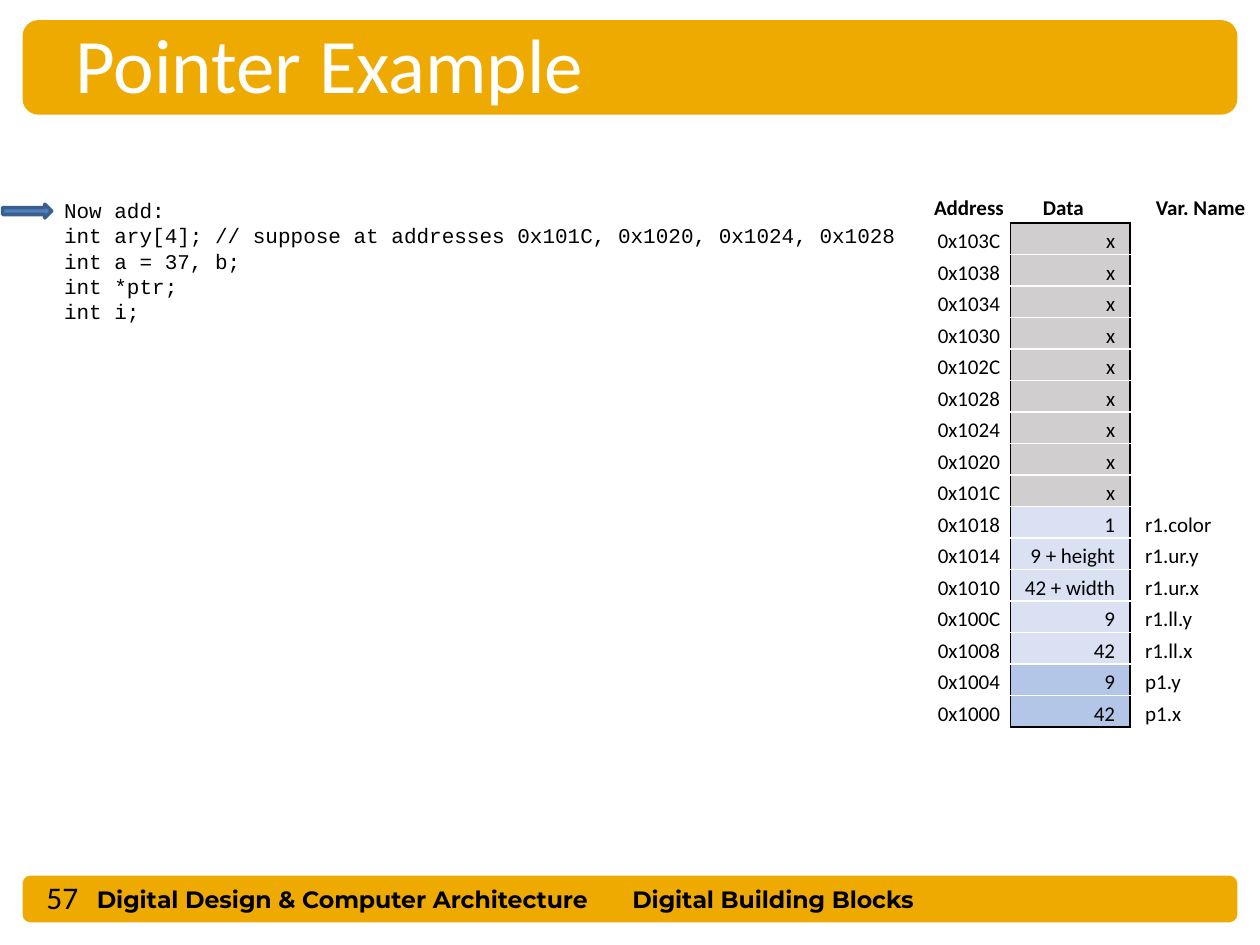
from dataclasses import dataclass

from lxml import etree
from pptx import Presentation
from pptx.dml.color import RGBColor
from pptx.enum.shapes import MSO_SHAPE
from pptx.enum.text import MSO_ANCHOR, PP_ALIGN
from pptx.oxml.ns import qn
from pptx.util import Inches, Pt

ROUNDED, ARROW = MSO_SHAPE.ROUNDED_RECTANGLE, MSO_SHAPE.RIGHT_ARROW
LEFT, CENTER, RIGHT = PP_ALIGN.LEFT, PP_ALIGN.CENTER, PP_ALIGN.RIGHT
TOP, MIDDLE, BOTTOM = MSO_ANCHOR.TOP, MSO_ANCHOR.MIDDLE, MSO_ANCHOR.BOTTOM

COLORS = {
    "bar": "EEAA00", "black": "000000", "white": "FFFFFF",
    "arrow": "4F81BD", "arrow_line": "3A5F8C",
    "unused": "D0CECE", "rectangle": "D9E1F2", "point": "B4C6E7",
}
NO_STYLE = "{2D5ABB26-0587-4C30-8999-92F81FD0307C}"
TOP_ADDRESS, WORD_BYTES = 0x103C, 4
ROW_HEIGHT = 0.25
COLUMN_WIDTHS = [0.66, 0.84, 0.11, 0.11, 0.9]


@dataclass
class Label:
    box: tuple[float, float, float, float]
    lines: list[str]
    size: float
    font: str = "Calibri"
    color: str = "black"
    bold: bool = False
    anchor: MSO_ANCHOR = MIDDLE


@dataclass
class Word:
    data: str
    fill: str
    name: str = ""


LABELS = [
    Label((0.67, 6.97, 4.44, 0.33), ["Digital Design & Computer Architecture"],
          13.5, "Montserrat", bold=True),
    Label((4.92, 6.97, 2.94, 0.33), ["Digital Building Blocks"],
          13.5, "Montserrat", bold=True),
    Label((0.5, 0.08, 8.67, 0.84), ["Pointer Example"], 44, color="white"),
    Label((0.41, 1.52, 6.95, 1.11), [
        "Now add:",
        "int ary[4]; // suppose at addresses 0x101C, 0x1020, 0x1024, 0x1028",
        "int a = 37, b;",
        "int *ptr;",
        "int i;",
    ], 12, "Courier New", anchor=TOP),
    Label((0.27, 6.92, 0.82, 0.39), ["57"], 18),
]

MEMORY = [Word("x", "unused") for _ in range(9)] + [
    Word("1", "rectangle", "r1.color"),
    Word("9 + height", "rectangle", "r1.ur.y"),
    Word("42 + width", "rectangle", "r1.ur.x"),
    Word("9", "rectangle", "r1.ll.y"),
    Word("42", "rectangle", "r1.ll.x"),
    Word("9", "point", "p1.y"),
    Word("42", "point", "p1.x"),
]


def rgb(name: str) -> RGBColor:
    return RGBColor.from_string(COLORS[name])


def add_run(p, text: str, size: float, font: str, color: str, bold: bool) -> None:
    r = p.add_run()
    r.text = text
    r.font.size, r.font.name, r.font.bold = Pt(size), font, bold
    r.font.color.rgb = rgb(color)


def add_shape(s, kind: MSO_SHAPE, box: tuple, fill: str):
    sp = s.shapes.add_shape(kind, *map(Inches, box))
    sp.shadow.inherit = False
    sp.fill.solid()
    sp.fill.fore_color.rgb = rgb(fill)
    sp.line.fill.background()
    return sp


def add_label(s, label: Label) -> None:
    tf = s.shapes.add_textbox(*map(Inches, label.box)).text_frame
    tf.word_wrap = True
    tf.vertical_anchor = label.anchor
    for i, line in enumerate(label.lines):
        p = tf.add_paragraph() if i else tf.paragraphs[0]
        add_run(p, line, label.size, label.font, label.color, label.bold)


def set_borders(cell, **sides: str) -> None:
    """Draw 1 pt borders on the sides L, R, T and B; the others get none."""
    tc_pr = cell._tc.get_or_add_tcPr()
    for side in "LRTB":
        ln = etree.SubElement(tc_pr, qn(f"a:ln{side}"), w=str(Pt(1)))
        if side in sides:
            fill = etree.SubElement(ln, qn("a:solidFill"))
            etree.SubElement(fill, qn("a:srgbClr"), val=COLORS[sides[side]])
        else:
            etree.SubElement(ln, qn("a:noFill"))


def fill_cell(cell, text: str, align: PP_ALIGN, header: bool,
              fill: str, borders: dict[str, str]) -> None:
    cell.margin_left = cell.margin_right = cell.margin_top = Inches(0.01)
    cell.margin_bottom = 0
    cell.vertical_anchor = MIDDLE if header else BOTTOM
    set_borders(cell, **borders)
    if fill:
        cell.fill.solid()
        cell.fill.fore_color.rgb = rgb(fill)
    else:
        cell.fill.background()
    p = cell.text_frame.paragraphs[0]
    p.alignment = align
    if text:
        add_run(p, text, 12, "Calibri", "black", header)
    else:  # an empty cell at the default size would stretch its row
        etree.SubElement(p._p, qn("a:endParaRPr"), sz="1200")


def add_memory_table(s, left: float, top: float) -> None:
    rows = len(MEMORY) + 1
    frame = s.shapes.add_table(rows, len(COLUMN_WIDTHS), Inches(left), Inches(top),
                               Inches(sum(COLUMN_WIDTHS)), Inches(rows * ROW_HEIGHT))
    table = frame.table
    table.first_row = table.horz_banding = False
    table._tbl.tblPr.find(qn("a:tableStyleId")).text = NO_STYLE
    for column, width in zip(table.columns, COLUMN_WIDTHS):
        column.width = Inches(width)
    for row in table.rows:
        row.height = Inches(ROW_HEIGHT)

    under = {"B": "black"}
    header = [("Address", {}), ("Data", under), ("", under), ("", {}), ("Var. Name", {})]
    for c, (text, borders) in enumerate(header):
        fill_cell(table.cell(0, c), text, CENTER, True, "", borders)

    for i, word in enumerate(MEMORY):
        edges = {"T": "white" if i else "black",
                 "B": "white" if i < len(MEMORY) - 1 else "black"}
        address = f"0x{TOP_ADDRESS - i * WORD_BYTES:X}"
        cells = [
            (address, CENTER, "", {"R": "black"}),
            (word.data, RIGHT, word.fill, {"L": "black", **edges}),
            ("", LEFT, word.fill, {"R": "black", **edges}),
            ("", LEFT, "", {"L": "black"}),
            (word.name, LEFT, "", {}),
        ]
        for c, (text, align, fill, borders) in enumerate(cells):
            fill_cell(table.cell(i + 1, c), text, align, False, fill, borders)


def main() -> None:
    prs = Presentation()
    prs.slide_width, prs.slide_height = Inches(10), Inches(7.5)
    s = prs.slides.add_slide(prs.slide_layouts[6])
    add_shape(s, ROUNDED, (0.18, 6.95, 9.64, 0.37), "bar")
    add_shape(s, ROUNDED, (0.18, 0.16, 9.64, 0.75), "bar")
    for label in LABELS:
        add_label(s, label)
    arrow = add_shape(s, ARROW, (0.02, 1.62, 0.39, 0.11), "arrow")
    arrow.line.color.rgb = rgb("arrow_line")
    arrow.line.width = Pt(2)
    add_memory_table(s, 7.36, 1.52)
    prs.save("out.pptx")


if __name__ == "__main__":
    main()
